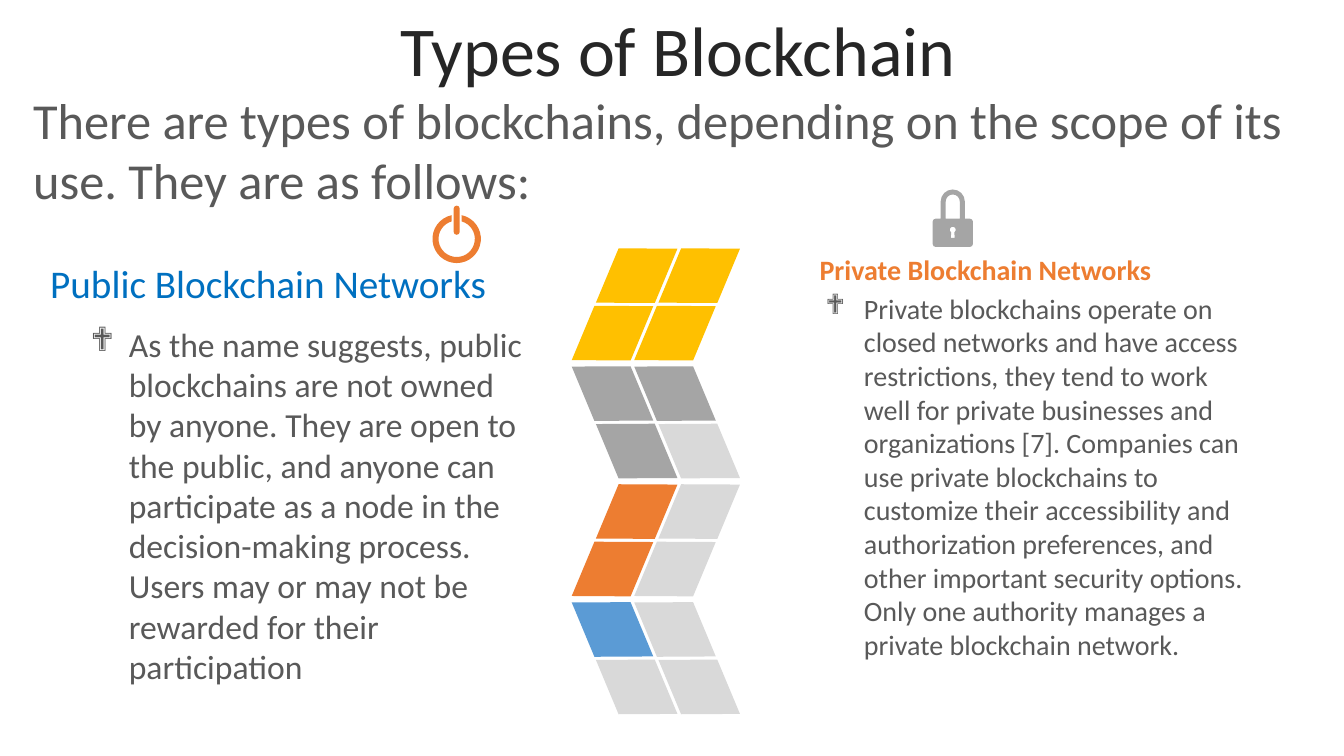
from dataclasses import dataclass
from math import ceil, cos, radians, sin, tan

from lxml import etree
from pptx import Presentation
from pptx.dml.color import RGBColor
from pptx.enum.shapes import MSO_SHAPE
from pptx.enum.text import MSO_ANCHOR, MSO_AUTO_SIZE, PP_ALIGN
from pptx.oxml.ns import qn
from pptx.util import Inches, Pt

DIAMOND = MSO_SHAPE.FLOWCHART_DECISION
MIDDLE = MSO_ANCHOR.MIDDLE
NO_AUTOFIT = MSO_AUTO_SIZE.NONE
CENTER = PP_ALIGN.CENTER

Point = tuple[float, float]
Segment = list[Point]  # one point for a line, three for a curve
Contour = list[Segment]


@dataclass(frozen=True)
class Theme:
    font: str = "Calibri"
    bullet_font: str = "Wingdings"
    title: str = "262626"
    body: str = "595959"
    blue: str = "5B9BD5"
    heading_blue: str = "0070C0"
    orange: str = "ED7D31"
    gray: str = "A5A5A5"
    yellow: str = "FFC000"
    empty: str = "D9D9D9"
    title_size: int = 50
    intro_size: int = 36
    heading_size: int = 28
    large_size: int = 24
    small_size: int = 20


THEME = Theme()


@dataclass(frozen=True)
class TextBlock:
    text: str
    left: float
    top: float
    width: float
    height: float
    size: int
    color: str = THEME.body
    bold: bool = False
    bullet: bool = False


@dataclass(frozen=True)
class Band:
    color: str
    filled: int
    leans_right: bool


@dataclass(frozen=True)
class Icon:
    color: str
    contours: list[Contour]


TITLE = TextBlock("Types of Blockchain", 0.4, 0.16, 12.66, 0.79, THEME.title_size, THEME.title)

TEXT_BLOCKS = [
    TextBlock("There are types of blockchains, depending on the scope of its use. "
              "They are as follows:", 0.23, 0.83, 12.79, 1.31, THEME.intro_size),
    TextBlock("Public Blockchain Networks", 0.4, 2.52, 5.03, 0.57,
              THEME.heading_size, THEME.heading_blue),
    TextBlock("As the name suggests, public blockchains are not owned by anyone. They are open "
              "to the public, and anyone can participate as a node in the decision-making "
              "process. Users may or may not be rewarded for their participation",
              0.8, 3.16, 4.56, 4.14, THEME.large_size, bullet=True),
    TextBlock("Private Blockchain Networks", 8.03, 2.46, 4.47, 0.44,
              THEME.small_size, THEME.orange, bold=True),
    TextBlock("Private blockchains operate on closed networks and have access restrictions, "
              "they tend to work well for private businesses and organizations [7]. Companies "
              "can use private blockchains to customize their accessibility and authorization "
              "preferences, and other important security options. Only one authority manages a "
              "private blockchain network.",
              8.09, 2.84, 4.51, 4.14, THEME.small_size, bullet=True),
]

BANDS = [
    Band(THEME.yellow, 4, True),
    Band(THEME.gray, 3, False),
    Band(THEME.orange, 2, True),
    Band(THEME.blue, 1, False),
]
TILE_LEFT, TILE_TOP = 5.59, 2.41
TILE_WIDTH, TILE_HEIGHT = 0.97, 0.65
COLUMN_STEP, ROW_STEP, BAND_STEP = 0.62, 0.57, 1.17
LEAN_SHIFT, LEAN_ANGLE = 0.24, 33.5


def arc(x: float, y: float, radius: float, start: int, end: int) -> Contour:
    """A line to the arc's start, then its curves; degrees clockwise from the top."""
    count = ceil(abs(end - start) / 90)
    turn = radians(end - start) / count
    reach = 4 / 3 * tan(turn / 4)

    def on_arc(angle: float, along: float = 0) -> Point:
        return (x + radius * (sin(angle) + along * cos(angle)),
                y - radius * (cos(angle) - along * sin(angle)))

    angles = [radians(start) + turn * i for i in range(count + 1)]
    curves = [[on_arc(a, reach), on_arc(b, -reach), on_arc(b)]
              for a, b in zip(angles, angles[1:])]
    return [[on_arc(angles[0])]] + curves


POWER = Icon(THEME.orange, [
    arc(4.53, 2.37, 0.18, 344, 16) + arc(4.53, 2.37, 0.24, 12, 348),
    arc(4.53, 2.07, 0.03, 270, 450) + arc(4.53, 2.3, 0.03, 90, 270),
])
LOCK = Icon(THEME.gray, [
    arc(9.45, 2, 0.12, 270, 450) + [[(9.57, 2.17)]]
    + arc(9.62, 2.2, 0.03, 0, 90) + arc(9.62, 2.42, 0.03, 90, 180)
    + arc(9.28, 2.42, 0.03, 180, 270) + arc(9.28, 2.2, 0.03, 270, 360) + [[(9.33, 2.17)]],
    arc(9.45, 2, 0.07, 270, 450) + [[(9.52, 2.17)], [(9.38, 2.17)]],
    arc(9.45, 2.28, 0.03, 210, 510) + [[(9.47, 2.36)], [(9.43, 2.36)]],
])


def paint(shape, color: str) -> None:
    shape.shadow.inherit = False
    shape.fill.solid()
    shape.fill.fore_color.rgb = RGBColor.from_string(color)
    shape.line.fill.background()


def write_text(box, block: TextBlock):
    """Place the box, write its one paragraph and return that paragraph."""
    box.left, box.top = Inches(block.left), Inches(block.top)
    box.width, box.height = Inches(block.width), Inches(block.height)
    box.text_frame.word_wrap = True
    box.text_frame.auto_size = NO_AUTOFIT
    para = box.text_frame.paragraphs[0]
    span = para.add_run()
    span.text = block.text
    span.font.name = THEME.font
    span.font.size = Pt(block.size)
    span.font.bold = block.bold
    span.font.color.rgb = RGBColor.from_string(block.color)
    return para


def add_bullet(para) -> None:
    properties = para._p.get_or_add_pPr()
    indent = Inches(0.38)
    properties.set("marL", str(indent))
    properties.set("indent", str(-indent))
    etree.SubElement(properties, qn("a:buFont")).set("typeface", THEME.bullet_font)
    etree.SubElement(properties, qn("a:buChar")).set("char", "❖")


def add_title(slide) -> None:
    title = slide.shapes.title
    para = write_text(title, TITLE)
    title.text_frame.vertical_anchor = MIDDLE
    para.alignment = CENTER
    para.line_spacing = 0.8
    para.space_before = Pt(10)


def add_text_block(slide, block: TextBlock) -> None:
    para = write_text(slide.shapes.add_textbox(0, 0, 0, 0), block)
    if block.bullet:
        add_bullet(para)


def add_band(shapes, band: Band, top: float) -> None:
    """Draw two by two slanted tiles, filled down the left column first."""
    for index in range(4):
        column, row = divmod(index, 2)
        shifted = (row == 0) == band.leans_right
        left = TILE_LEFT + column * COLUMN_STEP + shifted * LEAN_SHIFT
        tile = shapes.add_shape(DIAMOND, Inches(left), Inches(top + row * ROW_STEP),
                                Inches(TILE_WIDTH), Inches(TILE_HEIGHT))
        tile.rotation = -LEAN_ANGLE if band.leans_right else LEAN_ANGLE
        paint(tile, band.color if index < band.filled else THEME.empty)


def add_icon(slide, icon: Icon) -> None:
    """Build the outline from all its points, then join each three into a curve."""
    units = 1000
    start_x, start_y = icon.contours[0][0][0]
    outline = slide.shapes.build_freeform(start_x * units, start_y * units, Inches(1) / units)
    for contour in icon.contours:
        points = [(x * units, y * units) for segment in contour for x, y in segment]
        if contour is not icon.contours[0]:
            outline.move_to(*points[0])
        outline.add_line_segments(points[1:], close=True)
    shape = outline.convert_to_shape()
    lines = iter(list(shape._element.iter(qn("a:lnTo"))))
    for segment in (part for contour in icon.contours for part in contour[1:]):
        first, *others = [next(lines) for _ in segment]
        if others:
            first.tag = qn("a:cubicBezTo")
        for line in others:
            first.append(line[0])
            line.getparent().remove(line)
    paint(shape, icon.color)


def main() -> None:
    deck = Presentation()
    deck.slide_width, deck.slide_height = Inches(13.33), Inches(7.5)
    slide = deck.slides.add_slide(deck.slide_layouts[5])
    add_title(slide)
    tiles = slide.shapes.add_group_shape().shapes
    for index, band in enumerate(BANDS):
        add_band(tiles, band, TILE_TOP + index * BAND_STEP)
    for block in TEXT_BLOCKS:
        add_text_block(slide, block)
    for icon in (POWER, LOCK):
        add_icon(slide, icon)
    deck.save("out.pptx")


if __name__ == "__main__":
    main()
